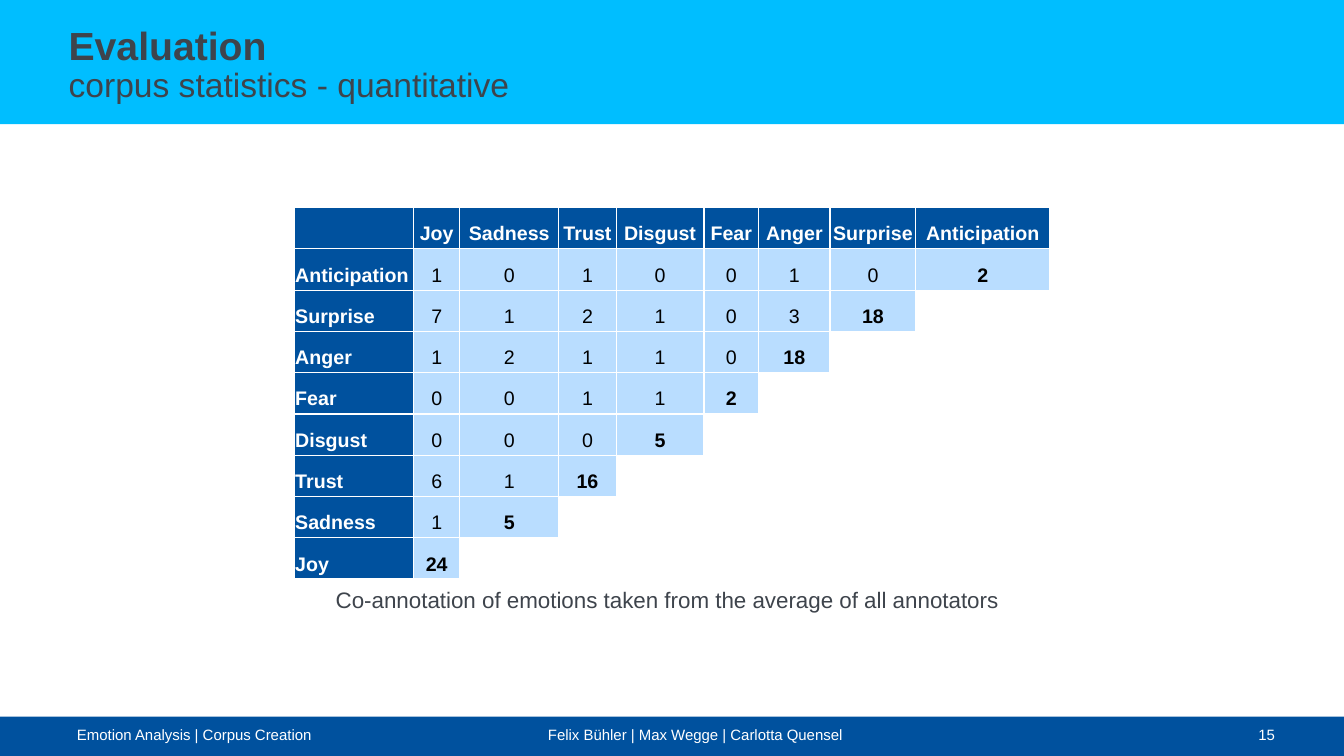
from dataclasses import dataclass

from lxml import etree
from pptx import Presentation
from pptx import util as u
from pptx.dml.color import RGBColor
from pptx.enum import shapes, text
from pptx.oxml.ns import qn


@dataclass(frozen=True)
class Theme:
    """Colours, font and type sizes of the deck."""
    font: str = "Arial"
    navy: str = "00519E"
    sky: str = "00BEFF"
    pale: str = "B9DDFF"
    grey: str = "3E444C"
    white: str = "FFFFFF"
    black: str = "000000"
    title: float = 28
    subtitle: float = 24
    caption: float = 16
    body: float = 14
    footer: float = 10.7


class Deck:
    """Draws styled elements on the current slide."""

    def __init__(self, prs, theme):
        self.theme = theme
        self.s = prs.slides.add_slide(prs.slide_layouts[6])

    def style(self, p, size, color, bold=False, align=text.PP_ALIGN.LEFT):
        """Set the font and alignment of a paragraph."""
        p.alignment = align
        p.font.name = self.theme.font
        p.font.size = u.Pt(size)
        p.font.bold = bold
        p.font.color.rgb = RGBColor.from_string(color)

    def band(self, top, height, color):
        """Add a full-width colour band."""
        sp = self.s.shapes.add_shape(shapes.MSO_SHAPE.RECTANGLE, 0, u.Cm(top), u.Cm(33.87), u.Cm(height))
        sp.shadow.inherit = False
        sp.fill.solid()
        sp.fill.fore_color.rgb = RGBColor.from_string(color)
        sp.line.fill.background()

    def label(self, box, words, size, color, wrap=True, **kw):
        """Add a text box without margins and return its paragraph."""
        tf = self.s.shapes.add_textbox(*map(u.Cm, box)).text_frame
        tf.margin_left = tf.margin_right = tf.margin_top = tf.margin_bottom = 0
        tf.word_wrap = wrap
        p = tf.paragraphs[0]
        p.text = words
        self.style(p, size, color, **kw)
        return p

    def heading(self, box, title, subtitle):
        """Add a bold title with a lighter second line."""
        t = self.theme
        p = self.label(box, "", t.title, t.grey)
        p.line_spacing = 0.9
        for words, size, bold in ((title, t.title, True), (subtitle, t.subtitle, False)):
            if p.runs:
                p.add_line_break()
            r = p.add_run()
            r.text = words
            r.font.size = u.Pt(size)
            r.font.bold = bold

    def footer(self, left, middle, tab, number):
        """Add the footer line and the slide number."""
        t = self.theme
        p = self.label((1.94, 18.29, 21, 0.46), f"{left}\t{middle}", t.footer, t.white)
        tabs = etree.Element(qn("a:tabLst"))
        etree.SubElement(tabs, qn("a:tab"), pos=str(u.Cm(tab)), algn="l")
        p.font
        p._p.pPr.insert(0, tabs)
        self.label((31.29, 18.29, 0.84, 0.46), number, t.footer, t.white, align=text.PP_ALIGN.RIGHT)

    def cell(self, cell, words, fill, color, bold, align):
        """Fill one table cell and give it white borders."""
        tc_pr = cell._tc.get_or_add_tcPr()
        for side in "LRTB":
            ln = etree.SubElement(tc_pr, qn(f"a:ln{side}"), w=str(u.Pt(1)))
            solid = etree.SubElement(ln, qn("a:solidFill"))
            etree.SubElement(solid, qn("a:srgbClr"), val=self.theme.white)
        cell.fill.solid()
        cell.fill.fore_color.rgb = RGBColor.from_string(fill)
        cell.vertical_anchor = text.MSO_ANCHOR.MIDDLE
        cell.margin_left = cell.margin_right = cell.margin_top = u.Cm(0.02)
        cell.margin_bottom = 0
        p = cell.text_frame.paragraphs[0]
        p.text = words
        p.line_spacing = 1.5
        p.space_after = u.Pt(6)
        self.style(p, self.theme.body, color, bold, align)

    def triangle(self, left, top, widths, row_height, names, counts):
        """Add a triangular co-occurrence table with a bold diagonal."""
        t, n = self.theme, len(names) + 1
        table = self.s.shapes.add_table(
            n, n, u.Cm(left), u.Cm(top), u.Cm(sum(widths)), u.Cm(row_height * n)).table
        table.first_row = table.horz_banding = False
        for column, width in zip(table.columns, widths):
            column.width = u.Cm(width)
        rows = [["", *names]] + [[name, *row] for name, row in zip(reversed(names), counts)]
        for i, row in enumerate(rows):
            for j in range(n):
                cell = table.cell(i, j)
                if j >= len(row):
                    cell.fill.background()
                    cell.margin_top = cell.margin_bottom = 0
                    self.style(cell.text_frame.paragraphs[0], t.body, t.black)
                    continue
                header = i == 0 or j == 0
                self.cell(cell, str(row[j]),
                          t.navy if header else t.pale,
                          t.white if header else t.black,
                          header or j == len(row) - 1,
                          text.PP_ALIGN.LEFT if j == 0 else text.PP_ALIGN.CENTER)


EMOTIONS = ["Joy", "Sadness", "Trust", "Disgust", "Fear", "Anger", "Surprise", "Anticipation"]
COUNTS = [
    [1, 0, 1, 0, 0, 1, 0, 2],
    [7, 1, 2, 1, 0, 3, 18],
    [1, 2, 1, 1, 0, 18],
    [0, 0, 1, 1, 2],
    [0, 0, 0, 5],
    [6, 1, 16],
    [1, 5],
    [24],
]
WIDTHS = [3, 1.17, 2.49, 1.45, 2.21, 1.38, 1.8, 2.16, 3.38]


def main():
    """Build and save the slide."""
    prs = Presentation()
    prs.slide_width, prs.slide_height = u.Cm(33.87), u.Cm(19.05)
    theme = Theme()
    deck = Deck(prs, theme)
    deck.band(18.06, 0.99, theme.navy)
    deck.band(0, 3.13, theme.sky)
    deck.footer("Emotion Analysis | Corpus Creation", "Felix Bühler | Max Wegge | Carlotta Quensel", 11.87, "15")
    deck.heading((1.73, 0.66, 30.53, 0.94), "Evaluation", "corpus statistics - quantitative")
    deck.triangle(7.42, 5.23, WIDTHS, 1.04, EMOTIONS, COUNTS)
    caption = deck.label((8.46, 14.63, 17.53, 0.74),
                         "Co-annotation of emotions taken from the average of all annotators",
                         theme.caption, theme.grey, wrap=False)
    caption.line_spacing = 1.2
    caption.space_before = u.Pt(7.5)
    prs.save("out.pptx")


if __name__ == "__main__":
    main()
